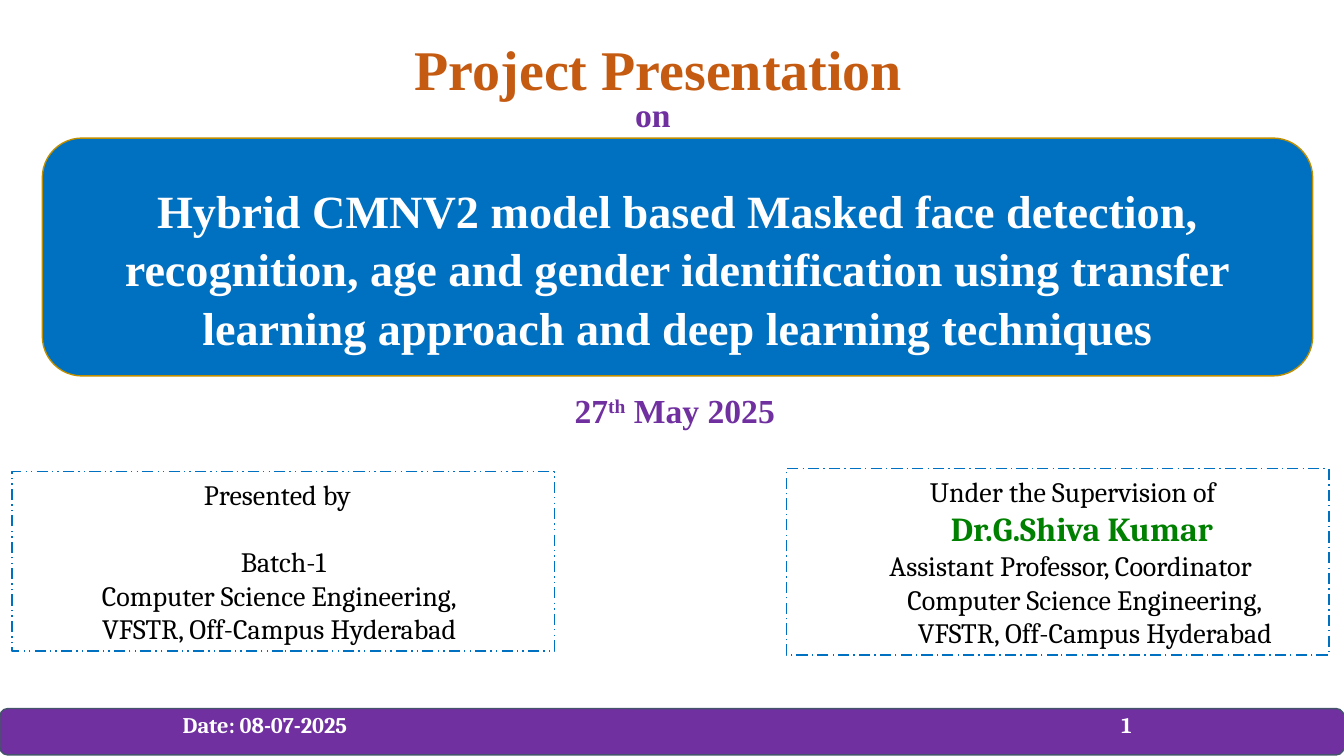
"""Builds the opening slide of a project presentation."""
from lxml.etree import SubElement
from pptx import Presentation
from pptx.dml.color import RGBColor
from pptx.enum.dml import MSO_LINE
from pptx.enum.shapes import MSO_SHAPE
from pptx.enum.text import MSO_ANCHOR, PP_ALIGN
from pptx.oxml.ns import qn
from pptx.util import Inches, Pt

WHITE = RGBColor(255, 255, 255)
BLACK = RGBColor(0, 0, 0)
BLUE = RGBColor(0x00, 0x70, 0xC0)
GOLD = RGBColor(0xBD, 0x8E, 0x00)
PURPLE = RGBColor(0x70, 0x30, 0xA0)
SLATE = RGBColor(0x44, 0x54, 0x6A)
GREEN = RGBColor(0x00, 0x80, 0x00)
ORANGE = RGBColor(0xC5, 0x5A, 0x11)
SERIF = "Times New Roman"
BODY = "Cambria"


class Deck:
    def __init__(self):
        self.prs = Presentation()
        self.prs.slide_width = Inches(13.33)
        self.prs.slide_height = Inches(7.5)
        self.slide = self.prs.slides.add_slide(self.prs.slide_layouts[5])

    def frame(self, shape, insets, anchor):
        frame = shape.text_frame
        frame.word_wrap = True
        frame.vertical_anchor = anchor
        sides = ("left", "top", "right", "bottom")
        for side, inset in zip(sides, insets):
            setattr(frame, f"margin_{side}", Inches(inset))
        return frame

    def run(self, para, text, size, color, font=SERIF, bold=True):
        run = para.add_run()
        run.text = text
        run.font.name = font
        run.font.size = Pt(size)
        run.font.bold = bold
        run.font.color.rgb = color
        return run

    def title(self, text, box):
        shape = self.slide.shapes.title
        shape.left, shape.top, shape.width, shape.height = map(Inches, box)
        frame = self.frame(shape, (0, 0, 0, 0), MSO_ANCHOR.MIDDLE)
        para = frame.paragraphs[0]
        para.alignment = PP_ALIGN.CENTER
        self.run(para, text, 40, ORANGE)

    def label(self, text, box):
        shape = self.slide.shapes.add_textbox(*map(Inches, box))
        frame = self.frame(shape, (0.1, 0.05, 0.1, 0.05), MSO_ANCHOR.TOP)
        para = frame.paragraphs[0]
        self.run(para, text, 24, PURPLE)
        return para

    def panel(self, kind, box, fill, line):
        shape = self.slide.shapes.add_shape(kind, *map(Inches, box))
        shape.shadow.inherit = False
        if fill is None:
            shape.fill.background()
        else:
            shape.fill.solid()
            shape.fill.fore_color.rgb = fill
        shape.line.color.rgb = line
        shape.line.width = Pt(1)
        return shape

    def banner(self, text, box):
        shape = self.panel(MSO_SHAPE.ROUNDED_RECTANGLE, box, BLUE, GOLD)
        frame = self.frame(shape, (0.26, 0.2, 0.26, 0), MSO_ANCHOR.MIDDLE)
        para = frame.paragraphs[0]
        para.alignment = PP_ALIGN.CENTER
        para.line_spacing = 1.05
        self.run(para, text, 33, WHITE)

    def card(self, box, dash, lines):
        shape = self.panel(MSO_SHAPE.RECTANGLE, box, None, BLUE)
        shape.line.dash_style = dash
        frame = self.frame(shape, (0.1, 0.05, 0.1, 0.05), MSO_ANCHOR.MIDDLE)
        for i, (text, shift, gap, size, color) in enumerate(lines):
            para = frame.add_paragraph() if i else frame.paragraphs[0]
            para.alignment = PP_ALIGN.CENTER
            para.space_before = Pt(gap)
            side = "marL" if shift >= 0 else "marR"
            para._p.get_or_add_pPr().set(side, str(Inches(abs(shift))))
            self.run(para, text, size, color, BODY, color == GREEN)

    def footer(self, date, page, box):
        shape = self.panel(MSO_SHAPE.ROUNDED_RECTANGLE, box, PURPLE, SLATE)
        frame = self.frame(shape, (1.79, 0, 0, 0), MSO_ANCHOR.TOP)
        para = frame.paragraphs[0]
        para.alignment = PP_ALIGN.LEFT
        tabs = SubElement(para._p.get_or_add_pPr(), qn("a:tabLst"))
        SubElement(tabs, qn("a:tab"), pos=str(Inches(9.31)), algn="l")
        self.run(para, f"{date}\t{page}", 16, WHITE, BODY)


def main():
    deck = Deck()
    deck.banner("Hybrid CMNV2 model based Masked face detection, recognition, "
                "age and gender identification using transfer learning "
                "approach and deep learning techniques",
                (0.42, 1.37, 12.6, 2.36))
    deck.card((0.12, 4.68, 5.38, 1.78), MSO_LINE.DASH_DOT_DOT, [
        ("Presented by", -0.12, 0, 20, BLACK),
        ("Batch-1", 0.12, 24, 20, BLACK),
        ("Computer Science Engineering,", 0.04, 0, 20, BLACK),
        ("VFSTR, Off-Campus Hyderabad", 0.04, 0, 20, BLACK),
    ])
    deck.card((7.8, 4.65, 5.38, 1.85), MSO_LINE.LONG_DASH_DOT, [
        ("Under the Supervision of", 0.3, 0, 20, BLACK),
        ("Dr.G.Shiva Kumar", 0.48, 0, 24, GREEN),
        ("Assistant Professor, Coordinator", 0.26, 0, 20, BLACK),
        ("Computer Science Engineering,", 0.54, 0, 20, BLACK),
        ("VFSTR, Off-Campus Hyderabad", 0.74, 0, 20, BLACK),
    ])
    deck.footer("Date: 08-07-2025", "1", (0, 7.03, 13.33, 0.46))
    deck.title("Project Presentation", (2.88, 0.26, 7.3, 0.83))
    deck.label("on", (6.2, 0.88, 0.59, 0.51))
    day = deck.label("27", (5.6, 3.82, 2.39, 0.5))
    mark = deck.run(day, "th", 24, PURPLE)
    mark.font._element.set("baseline", "30000")
    deck.run(day, " May 2025", 24, PURPLE)
    deck.prs.save("out.pptx")


if __name__ == "__main__":
    main()
